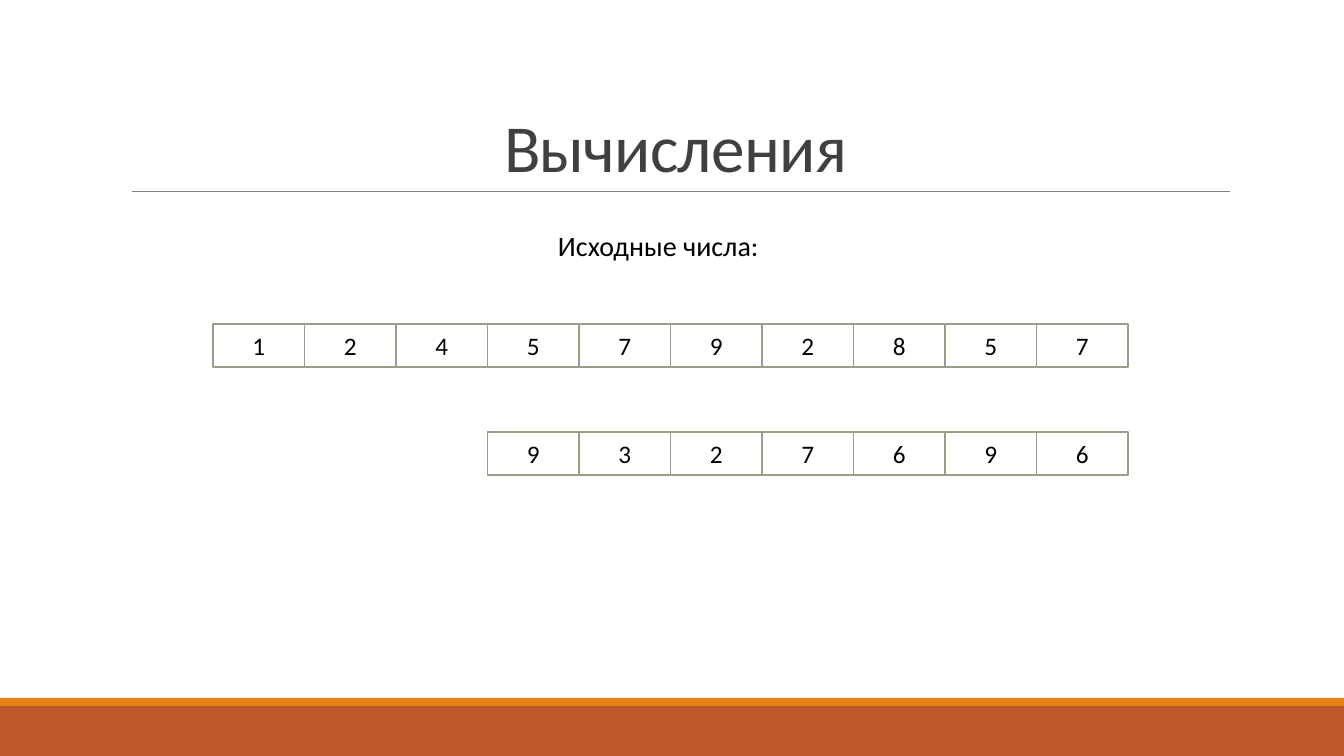
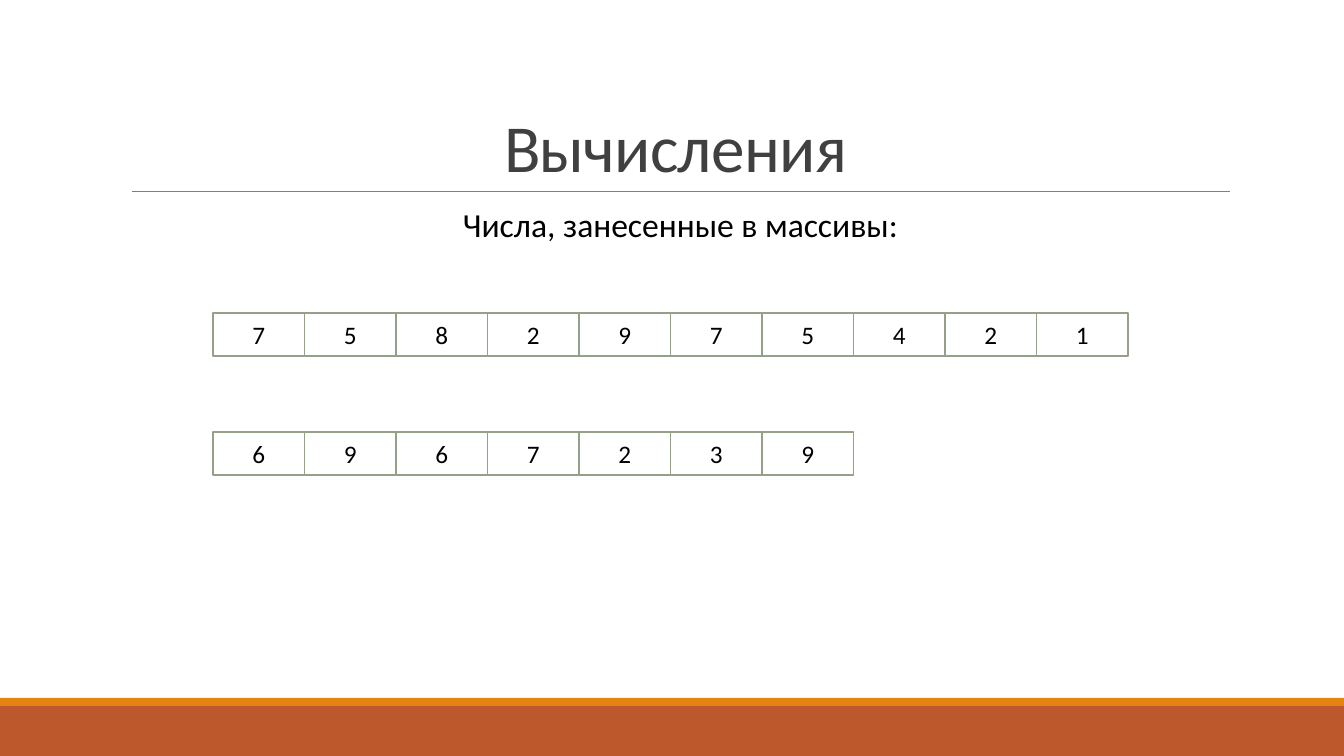
from dataclasses import dataclass

from lxml import etree
from pptx import Presentation
from pptx.dml.color import RGBColor
from pptx.enum.shapes import MSO_CONNECTOR, MSO_SHAPE
from pptx.enum.text import MSO_ANCHOR, PP_ALIGN
from pptx.oxml.ns import qn
from pptx.util import Pt

RECT = MSO_SHAPE.RECTANGLE
LINE = MSO_CONNECTOR.STRAIGHT
LEFT, CENTER = PP_ALIGN.LEFT, PP_ALIGN.CENTER
TOP, MIDDLE, BOTTOM = MSO_ANCHOR.TOP, MSO_ANCHOR.MIDDLE, MSO_ANCHOR.BOTTOM
SIDES = ("left", "top", "right", "bottom")


@dataclass(frozen=True)
class Theme:
    """Colours, font and type sizes of the deck."""
    font: str = "Calibri"
    paper: str = "FFFFFF"
    ink: str = "000000"
    head: str = "404040"
    rule: str = "808080"
    edge: str = "94A088"
    band: str = "BD582C"
    strip: str = "E48312"
    title: int = 48
    body: int = 24
    note: int = 20
    digit: int = 18


def px(n):
    """Turn picture pixels into EMU."""
    return round(n * 914400 / 100.8)


class Deck:
    """Holds the theme and the current slide, and draws each element."""

    def __init__(self, theme):
        """Start an empty wide deck."""
        self.theme = theme
        self.prs = Presentation()
        self.prs.slide_width, self.prs.slide_height = px(1344), px(756)

    def page(self, title):
        """Add a slide with its bands, rule and title."""
        look = self.theme
        self.slide = self.prs.slides.add_slide(self.prs.slide_layouts[6])
        self.box((0, 706, 1344, 50), look.band)
        self.box((0, 698, 1344, 8), look.strip)
        self.rule(132, 1230, 191)
        run = self.text((121, 31, 1109, 160), title, look.title,
                        color=look.head, anchor=BOTTOM, spacing=0.85)
        run.font._element.set("spc", "-50")

    def box(self, area, fill, edge=None):
        """Draw a rectangle with an optional outline."""
        shape = self.slide.shapes.add_shape(RECT, *map(px, area))
        shape.shadow.inherit = False
        shape.fill.solid()
        shape.fill.fore_color.rgb = RGBColor.from_string(fill)
        if edge:
            shape.line.color.rgb = RGBColor.from_string(edge)
            shape.line.width = Pt(1.25)
        else:
            shape.line.fill.background()
        return shape

    def rule(self, start, end, y):
        """Draw a thin level line."""
        line = self.slide.shapes.add_connector(
            LINE, px(start), px(y), px(end), px(y))
        line.line.color.rgb = RGBColor.from_string(self.theme.rule)
        line.line.width = Pt(0.5)
        etree.SubElement(line._element.spPr, qn("a:effectLst"))

    def text(self, area, words, size, **style):
        """Place a text box."""
        shape = self.slide.shapes.add_textbox(*map(px, area))
        return self.label(shape, words, size, **style)

    def label(self, shape, words, size, color=None, align=CENTER,
              anchor=TOP, spacing=1.0, inset=(10, 5, 10, 5)):
        """Set one styled paragraph in a shape."""
        frame = shape.text_frame
        para = frame.paragraphs[0]
        run = para.add_run()
        run.text = words
        margins = {f"margin_{side}": px(n) for side, n in zip(SIDES, inset)}
        formats = (
            (frame, {"word_wrap": True, "vertical_anchor": anchor, **margins}),
            (para, {"alignment": align, "line_spacing": spacing}),
            (run.font, {"name": self.theme.font, "size": Pt(size)}),
        )
        for target, values in formats:
            for name, value in values.items():
                setattr(target, name, value)
        run.font.color.rgb = RGBColor.from_string(color or self.theme.ink)
        return run

    def row(self, digits, y, first=0):
        """Draw a number as a row of cells on a ten-column grid."""
        look, step = self.theme, 91.5
        for col, digit in enumerate(digits, first):
            area = (213 + col * step, y, step, 43)
            cell = self.box(area, look.paper, look.edge)
            self.label(cell, digit, look.digit, anchor=MIDDLE)


def main():
    """Build both slides and save them."""
    look = Theme()
    deck = Deck(look)
    long, short = "1245792857", "9327696"

    deck.page("Вычисления")
    deck.text((548, 223, 244, 44), "Исходные числа:", look.note, align=LEFT)
    deck.row(long, 324)
    deck.row(short, 432, first=len(long) - len(short))

    deck.page("Вычисления")
    deck.text((121, 204, 1109, 444), "Числа, занесенные в массивы:",
              look.body, spacing=0.9, inset=(10, 5, 0, 5))
    deck.row(long[::-1], 313)
    deck.row(short[::-1], 432)

    deck.prs.save("out.pptx")


main()
